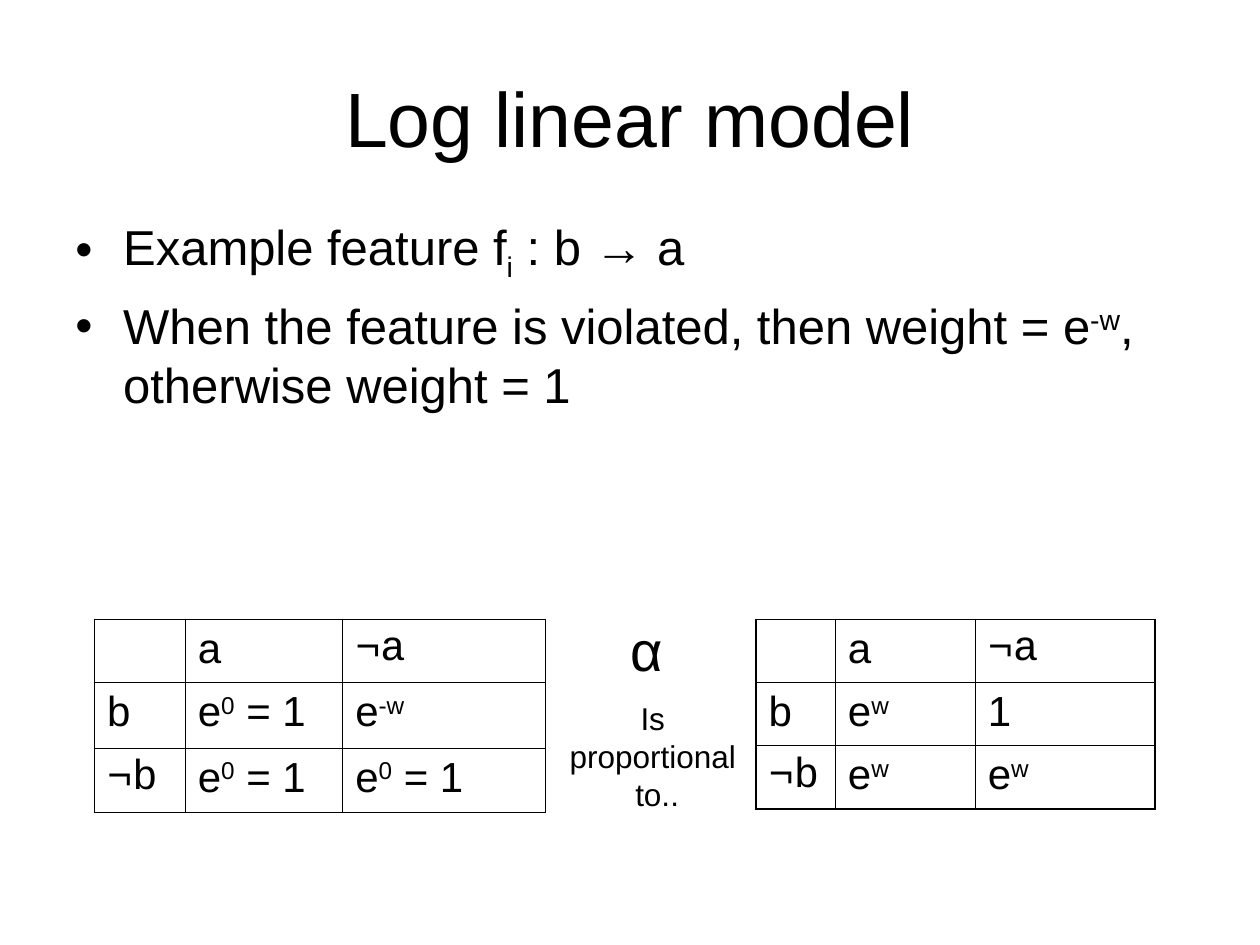
from lxml.etree import SubElement
from pptx import Presentation
from pptx.dml.color import RGBColor
from pptx.enum.text import MSO_ANCHOR, PP_ALIGN
from pptx.oxml import parse_xml
from pptx.oxml.ns import nsdecls, qn
from pptx.util import Inches, Pt

COLORS = {"text": "000000", "border": "000000", "background": "FFFFFF"}
SANS, MONO = "Arial", "Courier New"
UNIT = 0.25  # the slide is a grid of 40 columns by 30 rows
SUPER, SUB = 30000, -25000
OUTER, INNER = 1.08, 0.45

E_0 = ["e", ("0", SUPER), " = 1"]
E_MINUS_W = ["e", ("-w", SUPER)]
E_W = ["e", ("w", SUPER)]


def grid(*units):
    return [Inches(unit * UNIT) for unit in units]


def write(paragraph, parts, size, align=PP_ALIGN.LEFT):
    """Fill a paragraph with strings and (string, baseline) pairs."""
    paragraph.alignment = align
    for part in parts:
        words, baseline = part if isinstance(part, tuple) else (part, 0)
        run = paragraph.add_run()
        run.text = words
        run.font.size = Pt(size)
        run.font.name = MONO if words.startswith("¬") else SANS
        run.font.color.rgb = RGBColor.from_string(COLORS["text"])
        if baseline:
            run.font._element.set("baseline", str(baseline))


def add_text(slide, box, lines, size, align=PP_ALIGN.CENTER,
             anchor=MSO_ANCHOR.TOP, wrap=True):
    frame = slide.shapes.add_textbox(*grid(*box)).text_frame
    frame.word_wrap = wrap
    frame.vertical_anchor = anchor
    for index, parts in enumerate(lines):
        paragraph = frame.add_paragraph() if index else frame.paragraphs[0]
        write(paragraph, parts, size, align)
    return frame


def add_bullets(slide, box, lines):
    frame = add_text(slide, box, lines, 28, PP_ALIGN.LEFT)
    for index, paragraph in enumerate(frame.paragraphs):
        if index:
            paragraph.space_before = Pt(7)
        properties = paragraph._p.get_or_add_pPr()
        properties.set("marL", str(Inches(0.38)))
        properties.set("indent", str(Inches(-0.38)))
        SubElement(properties, qn("a:buFont")).set("typeface", SANS)
        SubElement(properties, qn("a:buChar")).set("char", "•")


def set_borders(cell, widths):
    """Draw the left, right, top and bottom borders, widths in points."""
    properties = cell._tc.get_or_add_tcPr()
    for index, (side, width) in enumerate(zip("LRTB", widths)):
        properties.insert(index, parse_xml(
            f'<a:ln{side} {nsdecls("a")} w="{Pt(width)}"><a:solidFill>'
            f'<a:srgbClr val="{COLORS["border"]}"/></a:solidFill></a:ln{side}>'))


def add_weights(slide, corner, columns, rows, weights):
    """Add a truth table of weights for a and b."""
    contents = [[[], ["a"], ["¬a"]],
                [["b"], *weights[0]],
                [["¬b"], *weights[1]]]
    size = (sum(columns), sum(rows))
    table = slide.shapes.add_table(3, 3, *grid(*corner, *size)).table
    table.first_row = table.horz_banding = False
    for column, width in zip(table.columns, grid(*columns)):
        column.width = width
    for row, height in zip(table.rows, grid(*rows)):
        row.height = height
    for r, row in enumerate(contents):
        for c, parts in enumerate(row):
            cell = table.cell(r, c)
            cell.fill.background()
            write(cell.text_frame.paragraphs[0], parts, 24)
            edges = (c == 0, c == 2, r == 0, r == 2)
            set_borders(cell, [OUTER if edge else INNER for edge in edges])


def add_proportionality(slide, left, top):
    """Add the sign between the tables and its reading."""
    add_text(slide, (left + 1.32, top, 3.04, 2.56), [["α"]], 32,
             anchor=MSO_ANCHOR.MIDDLE)
    add_text(slide, (left, top + 2.68, 6.36, 4),
             [["Is "], ["proportional "], ["to.."]], 18, wrap=False)


def main():
    presentation = Presentation()
    presentation.slide_width, presentation.slide_height = grid(40, 30)
    slide = presentation.slides.add_slide(presentation.slide_layouts[6])
    slide.background.fill.solid()
    slide.background.fill.fore_color.rgb = RGBColor.from_string(
        COLORS["background"])

    add_text(slide, (2, 1.2, 36, 5), [["Log linear model"]], 44,
             anchor=MSO_ANCHOR.MIDDLE)
    add_bullets(slide, (2, 6.68, 36, 12), [
        ["Example feature f", ("i", SUB), " : b → a"],
        ["When the feature is violated, then weight = e", ("-w", SUPER),
         ", otherwise weight = 1"],
    ])
    add_weights(slide, (3, 19.67), (2.88, 5, 6.44), (2, 2.08, 2.04),
                [[E_0, E_MINUS_W], [E_0, E_0]])
    add_weights(slide, (24, 19.67), (2.52, 4.44, 5.7), (2, 2, 2),
                [[E_W, ["1"]], [E_W, E_W]])
    add_proportionality(slide, 17.68, 19.32)
    presentation.save("out.pptx")


if __name__ == "__main__":
    main()
